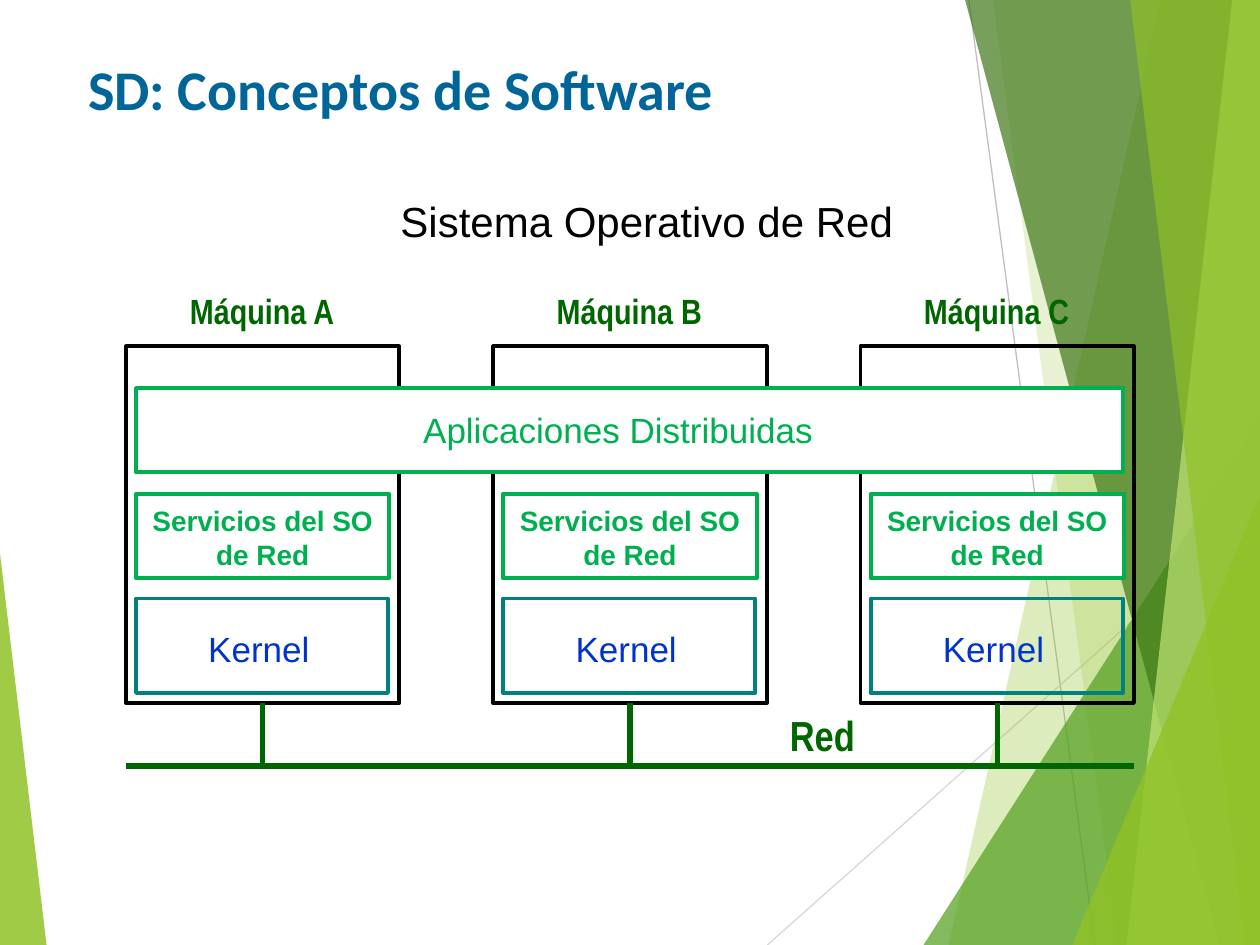
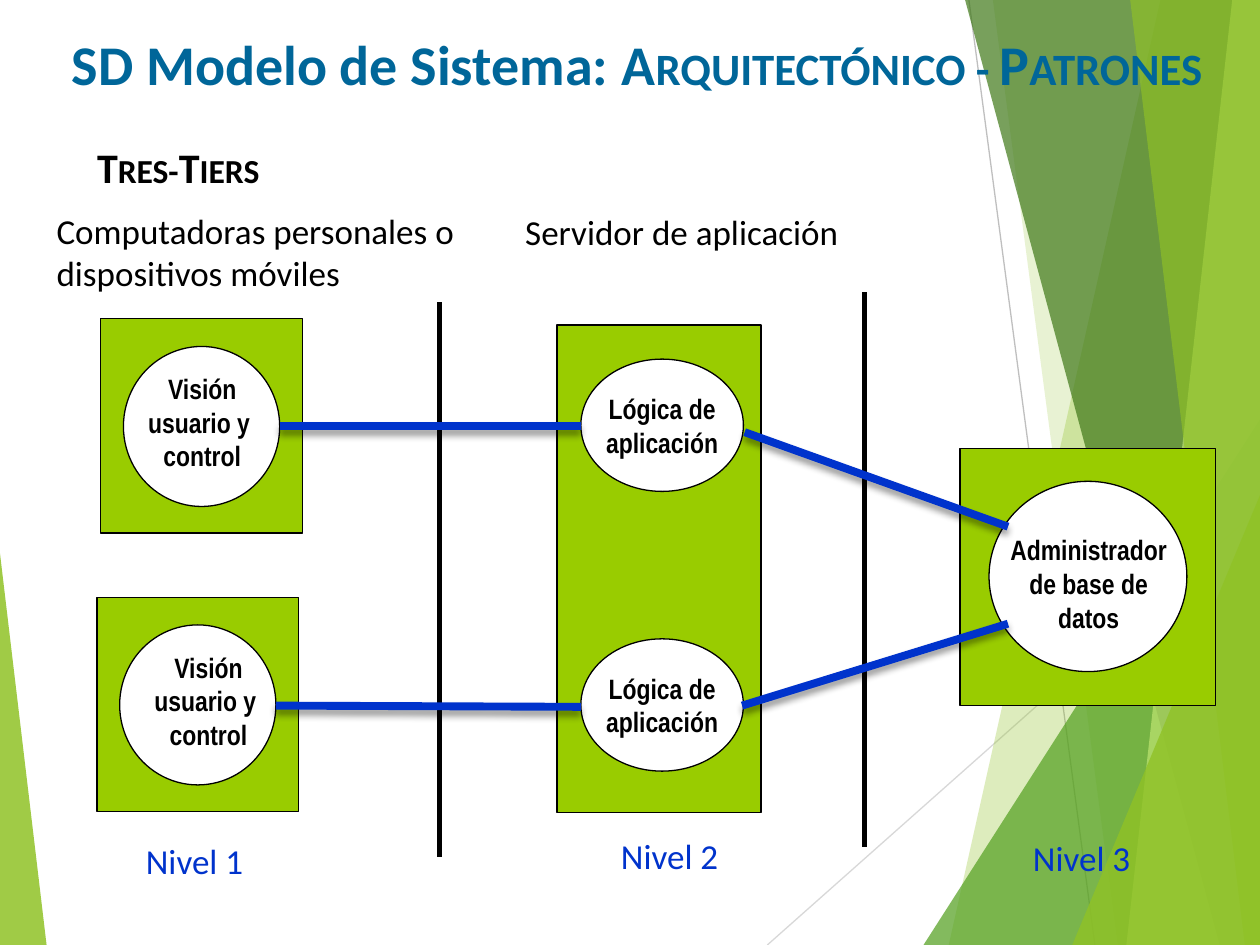
from dataclasses import dataclass

from lxml.etree import SubElement
from pptx import Presentation
from pptx.dml.color import RGBColor
from pptx.enum.shapes import MSO_CONNECTOR, MSO_SHAPE
from pptx.enum.text import MSO_ANCHOR, MSO_AUTO_SIZE, PP_ALIGN
from pptx.oxml.ns import qn
from pptx.util import Inches, Pt


@dataclass(frozen=True)
class Style:
    font: str
    size: int
    color: str
    bold: bool = False
    align: PP_ALIGN = PP_ALIGN.LEFT


class Theme:
    black, white = "000000", "FFFFFF"
    blue, teal, green, dark_green, lime = "0033CC", "008080", "00B050", "006600", "99CC00"
    leaf, grass, forest, pale = "90C226", "54A021", "3F7818", "BFE471"
    title = Style("Calibri", 32, "006699", True)
    subtitle = Style("Calibri", 24, black, True)
    heading = Style("Arial", 24, black, align=PP_ALIGN.JUSTIFY)
    machine = Style("Arial Narrow", 20, dark_green, True, PP_ALIGN.CENTER)
    network = Style("Arial Narrow", 24, dark_green, True, PP_ALIGN.JUSTIFY)
    kernel = Style("Arial", 20, blue, align=PP_ALIGN.CENTER)
    services = Style("Arial", 16, green, True, PP_ALIGN.CENTER)
    applications = Style("Arial", 20, green, align=PP_ALIGN.JUSTIFY)
    component = Style("Arial Narrow", 16, black, True, PP_ALIGN.CENTER)
    place = Style("Calibri", 20, black)
    level = Style("Calibri", 20, blue)


# Background: thin lines, then translucent facets from back to front
BACKGROUND_LINES = [((7.69, 0), (8.69, 7.5), "BFBFBF"), ((10, 4.03), (6.09, 7.5), "D8D8D8")]
# Bands reach the right edge: top-left x, bottom-left x, colour, opacity
# Triangles: box, apex position, colour, opacity
FACETS = [
    (9.21, 7.53, Theme.leaf, 30),
    (7.88, 8.87, Theme.leaf, 20),
    ((7.33, 3.33, 2.67, 4.17), 1, Theme.grass, 72),
    (7.66, 9.68, Theme.forest, 70),
    (9.78, 8.94, Theme.pale, 70),
    (8.97, 9.88, Theme.leaf, 65),
    ((8.51, 3.93, 1.49, 3.57), 1, Theme.leaf, 80),
    ((0, 4.39, 0.37, 3.11), 0, Theme.leaf, 85),
]

# Slide 1
MACHINES = ["Máquina A", "Máquina B", "Máquina C"]
NETWORK_LEFT, NETWORK_RIGHT, NETWORK_Y = 1, 9, 6.08
MACHINE_TOP, MACHINE_WIDTH, MACHINE_HEIGHT = 2.75, 2.17, 2.83

# Slide 2: rectangles, ellipses, and text boxes
NODES = [(4.42, 2.58, 1.62, 3.87), (0.8, 2.53, 1.6, 1.7),
         (0.77, 4.74, 1.6, 1.7), (7.62, 3.56, 2.03, 2.04)]
VIEW = ["Visión usuario y ", "control"]
LOGIC = ["Lógica de aplicación"]
COMPONENTS = [
    ((0.98, 2.75, 1.24, 1.27), (1.01, 2.9, 1.19, 0.91), VIEW),
    ((0.95, 4.96, 1.24, 1.27), (1.06, 5.11, 1.19, 0.91), VIEW),
    ((4.61, 2.85, 1.29, 1.05), (4.67, 3.06, 1.17, 0.64), LOGIC),
    ((4.61, 5.07, 1.29, 1.05), (4.67, 5.28, 1.17, 0.64), LOGIC),
    ((7.85, 3.82, 1.57, 1.51), (7.89, 4.18, 1.5, 0.91), ["Administrador de base de datos"]),
]
DIVIDERS = [((3.49, 2.4), (3.49, 6.8)), ((6.86, 2.32), (6.86, 6.72))]
LINKS = [((2.22, 3.38), (4.61, 3.38)), ((2.19, 5.6), (4.61, 5.61)),
         ((5.91, 3.43), (8, 4.18)), ((5.89, 5.6), (8, 4.95))]
PLACES = [
    ((0.35, 1.61, 3.71, 0.77), "Computadoras personales o dispositivos móviles"),
    ((4.07, 1.62, 2.9, 0.44), "Servidor de aplicación"),
]
LEVELS = [
    ((1.06, 6.61, 1.34, 0.44), "Nivel 1"),
    ((4.83, 6.57, 1.45, 0.44), "Nivel 2"),
    ((8.1, 6.59, 1.33, 0.44), "Nivel 3"),
]


def inches(values):
    return [Inches(value) for value in values]


def rgb(color):
    return RGBColor.from_string(color)


def format_text(frame, style):
    for para in frame.paragraphs:
        para.alignment = style.align
        para.space_before = Pt(0)
        for span in para.runs:
            font = span.font
            font.name, font.size, font.bold = style.font, Pt(style.size), style.bold
            font.color.rgb = rgb(style.color)


def add_text(slide, at, text, style, inset=None):
    frame = slide.shapes.add_textbox(*inches(at)).text_frame
    frame.word_wrap = True
    frame.auto_size = MSO_AUTO_SIZE.SHAPE_TO_FIT_TEXT
    if inset is not None:
        frame.margin_left = frame.margin_right = Inches(inset)
        frame.margin_top = frame.margin_bottom = Inches(inset)
    frame.text = text
    format_text(frame, style)


def add_box(slide, at, fill, line, width, kind=MSO_SHAPE.RECTANGLE):
    box = slide.shapes.add_shape(kind, *inches(at))
    box.shadow.inherit = False
    if fill:
        box.fill.solid()
        box.fill.fore_color.rgb = rgb(fill)
    else:
        box.fill.background()
    box.line.color.rgb = rgb(line)
    box.line.width = Pt(width)
    return box


def add_line(slide, start, end, color, width, shadow=False):
    line = slide.shapes.add_connector(MSO_CONNECTOR.STRAIGHT, *inches(start + end))
    line.line.color.rgb = rgb(color)
    line.line.width = Pt(width)
    effects = SubElement(line.element.spPr, qn("a:effectLst"))
    if shadow:
        outer = SubElement(effects, qn("a:outerShdw"), blurRad=str(Pt(4)), dist=str(Pt(3)),
                           dir="5400000", rotWithShape="0")
        tone = SubElement(outer, qn("a:srgbClr"), val=Theme.black)
        SubElement(tone, qn("a:alpha"), val="40000")
    return line


def fill_placeholder(holder, at, spans, style, anchor):
    """Place and format a placeholder; spans are (text, small caps) pairs."""
    holder.left, holder.top, holder.width, holder.height = inches(at)
    frame = holder.text_frame
    frame.auto_size = MSO_AUTO_SIZE.NONE
    frame.vertical_anchor = anchor
    para = frame.paragraphs[0]
    for text, small_caps in spans:
        span = para.add_run()
        span.text = text
        if small_caps:
            span.font._element.set("cap", "small")
    format_text(frame, style)


def set_title(slide, at, spans):
    fill_placeholder(slide.shapes.title, at, spans, Theme.title, MSO_ANCHOR.BOTTOM)


def add_facet(slide, place, detail, color, opacity):
    if isinstance(place, tuple):
        facet = slide.shapes.add_shape(MSO_SHAPE.ISOSCELES_TRIANGLE, *inches(place))
        facet.adjustments[0] = detail
    else:
        corners = [inches(corner) for corner in ((10, 0), (10, 7.5), (detail, 7.5))]
        outline = slide.shapes.build_freeform(Inches(place), 0)
        outline.add_line_segments(corners, close=True)
        facet = outline.convert_to_shape()
    facet.shadow.inherit = False
    facet.fill.solid()
    facet.fill.fore_color.rgb = rgb(color)
    facet.line.fill.background()
    tone = facet.element.spPr.find(".//" + qn("a:srgbClr"))
    SubElement(tone, qn("a:alpha"), val=str(opacity * 1000))
    return facet


def build_background(deck, slide):
    """Draw the background on a slide, then move it to the master behind its placeholders."""
    parts = [add_line(slide, *ends, 0.75) for ends in BACKGROUND_LINES]
    parts += [add_facet(slide, *facet) for facet in FACETS]
    tree = deck.slide_master.shapes.element
    for index, part in enumerate(parts):
        part.element.find(".//" + qn("p:cNvPr")).set("id", str(100 + index))
        tree.insert(2 + index, part.element)


def build_network_system(slide):
    set_title(slide, (0.6, 0.39, 9, 0.63), [("SD: Conceptos de Software", False)])
    add_text(slide, (3.08, 1.5, 4.25, 0.5), "Sistema Operativo de Red", Theme.heading)
    pitch = (NETWORK_RIGHT - NETWORK_LEFT - MACHINE_WIDTH) / (len(MACHINES) - 1)
    lefts = [NETWORK_LEFT + pitch * index for index in range(len(MACHINES))]
    frames = [add_box(slide, (left, MACHINE_TOP, MACHINE_WIDTH, MACHINE_HEIGHT),
                      None, Theme.black, 2.25) for left in lefts]

    add_box(slide, (1.08, 3.08, 7.83, 0.67), Theme.white, Theme.green, 2.25)
    add_text(slide, (3.26, 3.19, 3.42, 0.43), "Aplicaciones Distribuidas", Theme.applications)

    for name, left, frame in zip(MACHINES, lefts, frames):
        add_text(slide, (left + 0.33, 2.25, 1.5, 0.43), name, Theme.machine)
        add_box(slide, (left + 0.08, 3.92, 2.01, 0.67), Theme.white, Theme.green, 2.25)
        add_text(slide, (left + 0.17, 4, 1.83, 0.53), "Servicios del SO de Red",
                 Theme.services, inset=0)
        add_box(slide, (left + 0.08, 4.75, 2, 0.75), None, Theme.teal, 2.25)
        add_text(slide, (left + 0.18, 4.93, 1.75, 0.43), "Kernel", Theme.kernel)
        middle = left + MACHINE_WIDTH / 2
        drop = add_line(slide, (middle, MACHINE_TOP + MACHINE_HEIGHT), (middle, NETWORK_Y),
                        Theme.dark_green, 3)
        drop.begin_connect(frame, 2)

    add_line(slide, (NETWORK_LEFT, NETWORK_Y), (NETWORK_RIGHT, NETWORK_Y), Theme.dark_green, 3)
    add_text(slide, (6.17, 5.58, 0.75, 0.5), "Red", Theme.network)


def build_three_tiers(slide):
    set_title(slide, (0.47, 0.19, 9.38, 0.63),
              [("SD Modelo de Sistema: ", False), ("Arquitectónico - Patrones", True)])
    body = slide.placeholders[1]
    fill_placeholder(body, (0.67, 1.07, 9, 0.59), [("Tres-Tiers", True)],
                     Theme.subtitle, MSO_ANCHOR.TOP)
    properties = body.text_frame.paragraphs[0]._p.get_or_add_pPr()
    properties.set("marL", "0")
    properties.set("indent", "0")
    SubElement(properties, qn("a:buNone"))

    for node in NODES:
        add_box(slide, node, Theme.lime, Theme.black, 0.75)
    for ellipse, label, lines in COMPONENTS:
        add_box(slide, ellipse, Theme.white, Theme.black, 0.75, MSO_SHAPE.OVAL)
        add_text(slide, label, "\n".join(lines), Theme.component)
    for start, end in DIVIDERS:
        add_line(slide, start, end, Theme.black, 3)
    for start, end in LINKS:
        add_line(slide, start, end, Theme.blue, 4.5, shadow=True)
    for labels, style in ((PLACES, Theme.place), (LEVELS, Theme.level)):
        for at, text in labels:
            add_text(slide, at, text, style)


def main():
    deck = Presentation()
    deck.slide_width, deck.slide_height = Inches(10), Inches(7.5)
    title_and_content, title_only = deck.slide_layouts[1], deck.slide_layouts[5]
    network_slide = deck.slides.add_slide(title_only)
    build_background(deck, network_slide)
    build_network_system(network_slide)
    build_three_tiers(deck.slides.add_slide(title_and_content))
    deck.save("out.pptx")


if __name__ == "__main__":
    main()
